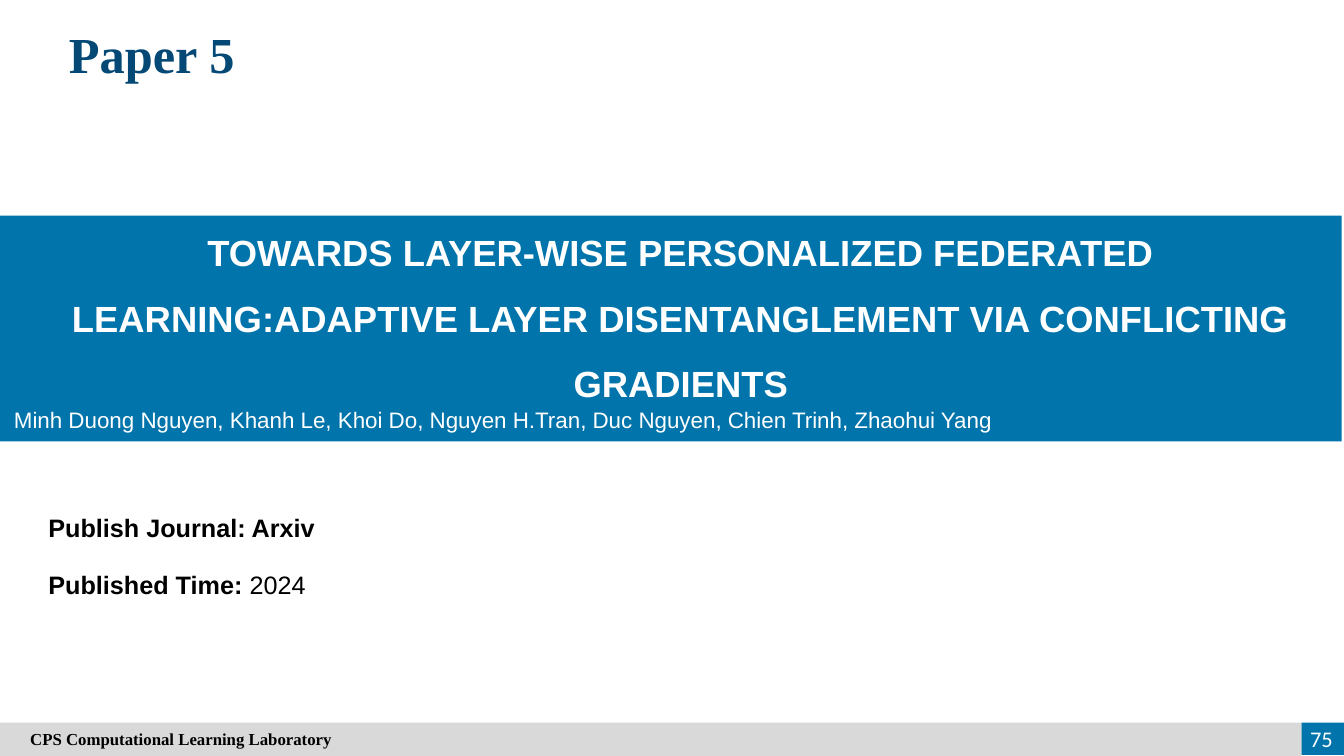
from lxml.etree import SubElement
from pptx import Presentation
from pptx.dml.color import RGBColor
from pptx.enum.shapes import MSO_SHAPE
from pptx.enum.text import MSO_ANCHOR, MSO_AUTO_SIZE, PP_ALIGN
from pptx.oxml.ns import qn
from pptx.util import Pt

HUES = {"blue": "0174AB", "navy": "044875", "grey": "D9D9D9",
        "white": "FFFFFF", "black": "000000"}


class Page:
    """Holds the style and the current slide."""

    def __init__(self, deck):
        self.slide = deck.slides.add_slide(deck.slide_layouts[1])
        self.shapes = self.slide.shapes
        self.face = "Arial"

    def hue(self, name):
        return RGBColor.from_string(HUES[name])

    def place(self, shape, box):
        for key, val in zip(("left", "top", "width", "height"), box):
            setattr(shape, key, Pt(val))

    def frame(self, shape, anchor=MSO_ANCHOR.TOP, left=7.2):
        form = {"word_wrap": True, "auto_size": MSO_AUTO_SIZE.NONE,
                "vertical_anchor": anchor, "margin_left": Pt(left)}
        for key, val in form.items():
            setattr(shape.text_frame, key, val)
        return shape.text_frame

    def fill(self, para, runs, size, hue, face=None,
             align=PP_ALIGN.LEFT, line=1, before=0):
        form = {"alignment": align, "line_spacing": line,
                "space_before": Pt(before), "space_after": Pt(0)}
        for key, val in form.items():
            setattr(para, key, val)
        for text, bold in runs:
            run = para.add_run()
            run.text = text
            form = {"name": face or self.face, "size": Pt(size), "bold": bold}
            for key, val in form.items():
                setattr(run.font, key, val)
            run.font.color.rgb = self.hue(hue)

    def title(self, box, text, **style):
        shape = self.shapes.title
        self.place(shape, box)
        self.fill(self.frame(shape).paragraphs[0], [(text, True)], **style)

    def body(self, box, items, gap, **style):
        shape = self.slide.placeholders[1]
        self.place(shape, box)
        frame = self.frame(shape)
        for i, runs in enumerate(items):
            para = frame.add_paragraph() if i else frame.paragraphs[0]
            props = para._p.get_or_add_pPr()
            props.set("marL", "0")
            props.set("indent", "0")
            SubElement(props, qn("a:buNone"))
            self.fill(para, runs, before=gap if i else 0, **style)

    def bar(self, box, hue):
        shape = self.shapes.add_shape(MSO_SHAPE.RECTANGLE, *map(Pt, box))
        shape.shadow.inherit = False
        shape.fill.solid()
        shape.fill.fore_color.rgb = self.hue(hue)
        shape.line.fill.background()
        return shape

    def label(self, shape, text, bold=False, left=7.2, **style):
        frame = self.frame(shape, MSO_ANCHOR.MIDDLE, left)
        self.fill(frame.paragraphs[0], [(text, bold)], **style)

    def text(self, box, text, **style):
        self.label(self.shapes.add_textbox(*map(Pt, box)), text, **style)


def main():
    deck = Presentation()
    deck.slide_width, deck.slide_height = Pt(960), Pt(540)
    page = Page(deck)
    serif = "Times New Roman"

    page.title((27.4, 13, 162, 51), "Paper 5", size=36, hue="navy",
               face=serif, align=PP_ALIGN.CENTER)
    page.body((27.4, 362.2, 917, 72),
              [[("Publish Journal: Arxiv", True)],
               [("Published Time:", True), (" 2024", False)]],
              gap=19, size=18, hue="black")

    page.bar((0, 154.1, 958.3, 161.3), "blue")
    page.text((14.4, 144.7, 943.9, 149),
              "TOWARDS LAYER-WISE PERSONALIZED FEDERATED LEARNING:"
              "ADAPTIVE LAYER DISENTANGLEMENT VIA CONFLICTING GRADIENTS",
              bold=True, size=26, hue="white",
              align=PP_ALIGN.CENTER, line=1.5)
    page.text((2.9, 286.6, 909.4, 26.6),
              "Minh Duong Nguyen, Khanh Le, Khoi Do, Nguyen H.Tran, "
              "Duc Nguyen, Chien Trinh, Zhaohui Yang",
              size=16, hue="white")

    page.bar((929.6, 516.2, 30.4, 23), "blue")
    page.label(page.bar((0, 516.2, 929.6, 23.8), "grey"),
               "CPS Computational Learning Laboratory", bold=True,
               left=21.6, size=12, hue="black", face=serif)
    page.text((913.7, 513.4, 45.4, 28.8), "75", size=16, hue="white",
              face="Calibri", align=PP_ALIGN.RIGHT)
    deck.save("out.pptx")


if __name__ == "__main__":
    main()
